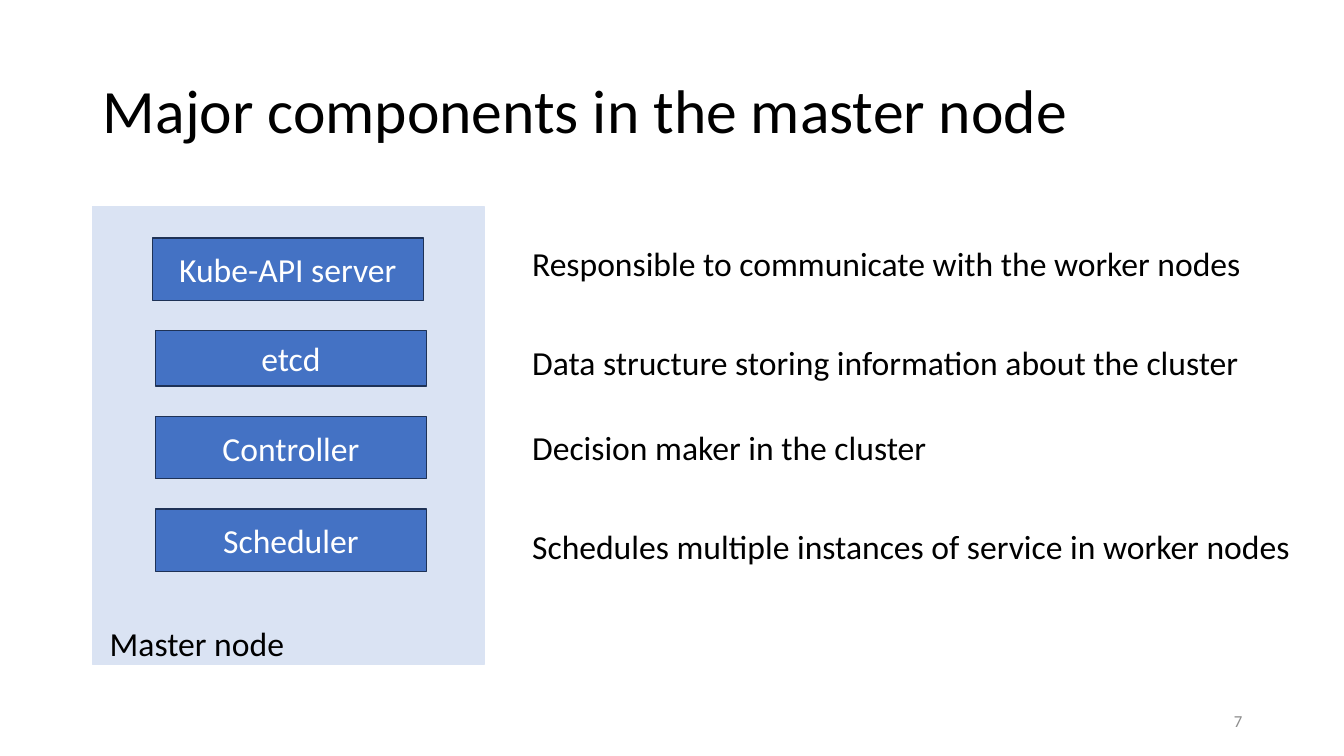
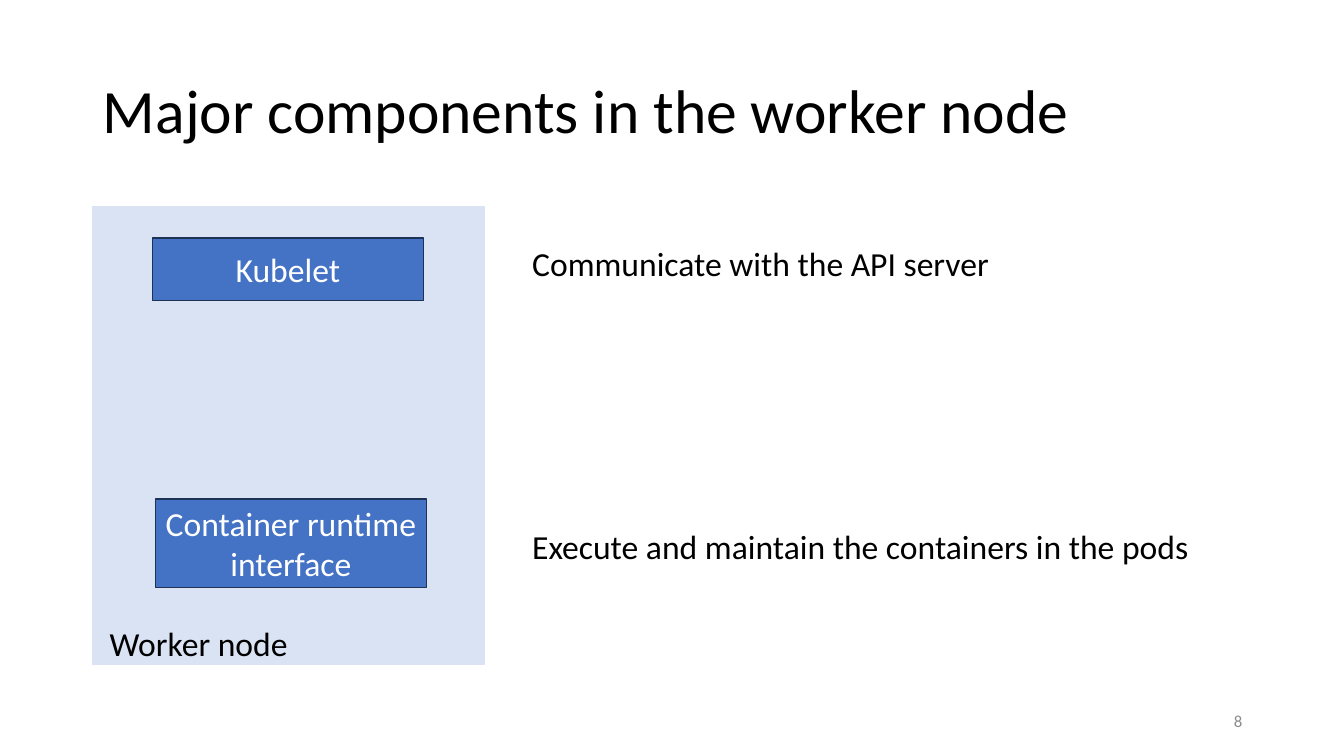
from dataclasses import dataclass

from pptx import Presentation
from pptx.dml.color import RGBColor
from pptx.enum.shapes import MSO_SHAPE
from pptx.enum.text import MSO_ANCHOR, MSO_AUTO_SIZE, PP_ALIGN
from pptx.shapes.autoshape import Shape
from pptx.slide import Slide
from pptx.util import Inches, Pt

RECTANGLE = MSO_SHAPE.RECTANGLE
LEFT, CENTER, RIGHT = PP_ALIGN.LEFT, PP_ALIGN.CENTER, PP_ALIGN.RIGHT
TOP, MIDDLE = MSO_ANCHOR.TOP, MSO_ANCHOR.MIDDLE
NO_AUTOFIT = MSO_AUTO_SIZE.NONE
TITLE_ONLY_LAYOUT = 5


@dataclass(frozen=True)
class Theme:
    font: str = "Calibri"
    text: RGBColor = RGBColor(0x00, 0x00, 0x00)
    inverse_text: RGBColor = RGBColor(0xFF, 0xFF, 0xFF)
    muted_text: RGBColor = RGBColor(0x8C, 0x8C, 0x8C)
    panel: RGBColor = RGBColor(0xDA, 0xE3, 0xF3)
    component: RGBColor = RGBColor(0x44, 0x72, 0xC4)
    component_line: RGBColor = RGBColor(0x1E, 0x32, 0x56)
    title_size: int = 44
    body_size: int = 24
    number_size: int = 12


@dataclass(frozen=True)
class Box:
    left: float
    top: float
    width: float
    height: float

    def lengths(self) -> tuple[Inches, Inches, Inches, Inches]:
        return (Inches(self.left), Inches(self.top),
                Inches(self.width), Inches(self.height))


@dataclass(frozen=True)
class Component:
    name: str
    box: Box
    description: str
    description_top: float


@dataclass(frozen=True)
class NodeSlide:
    number: int
    title: str
    node_name: str
    components: tuple[Component, ...]


THEME = Theme()
TITLE_BOX = Box(0.92, 0.4, 11.5, 1.45)
PANEL_BOX = Box(0.92, 2.05, 3.88, 4.54)
NODE_NAME_BOX = Box(0.99, 6.13, 2.43, 0.5)
NUMBER_BOX = Box(9.42, 6.95, 3, 0.4)
DESCRIPTION_LEFT, DESCRIPTION_WIDTH, DESCRIPTION_HEIGHT = 5.18, 7.87, 0.5


def component_box(top: float, height: float = 0.62, left: float = 1.54) -> Box:
    return Box(left, top, 2.69, height)


FIRST_BOX = component_box(2.36, left=1.51)

NODE_SLIDES = (
    NodeSlide(7, "Major components in the master node", "Master node", (
        Component("Kube-API server", FIRST_BOX,
                  "Responsible to communicate with the worker nodes", 2.36),
        Component("etcd", component_box(3.28, 0.55),
                  "Data structure storing information about the cluster", 3.34),
        Component("Controller", component_box(4.13),
                  "Decision maker in the cluster", 4.19),
        Component("Scheduler", component_box(5.05),
                  "Schedules multiple instances of service in worker nodes", 5.17),
    )),
    NodeSlide(8, "Major components in the worker node", "Worker node", (
        Component("Kubelet", FIRST_BOX, "Communicate with the API server", 2.36),
        Component("Container runtime interface", component_box(4.95, 0.88),
                  "Execute and maintain the containers in the pods", 5.17),
    )),
)


def write_text(shape: Shape, text: str, size: int = THEME.body_size,
               color: RGBColor = THEME.text, align: PP_ALIGN = LEFT,
               anchor: MSO_ANCHOR = TOP) -> None:
    frame = shape.text_frame
    frame.word_wrap = True
    frame.auto_size = NO_AUTOFIT
    frame.vertical_anchor = anchor
    paragraph = frame.paragraphs[0]
    paragraph.alignment = align
    run = paragraph.add_run()
    run.text = text
    run.font.name = THEME.font
    run.font.size = Pt(size)
    run.font.color.rgb = color


def add_title(slide: Slide, text: str) -> None:
    title = slide.shapes.title
    title.left, title.top, title.width, title.height = TITLE_BOX.lengths()
    write_text(title, text, THEME.title_size, anchor=MIDDLE)
    title.text_frame.paragraphs[0].line_spacing = 0.9


def add_rectangle(slide: Slide, box: Box, fill: RGBColor, line: RGBColor) -> Shape:
    shape = slide.shapes.add_shape(RECTANGLE, *box.lengths())
    shape.shadow.inherit = False
    shape.fill.solid()
    shape.fill.fore_color.rgb = fill
    shape.line.color.rgb = line
    shape.line.width = Pt(1)
    return shape


def add_label(slide: Slide, box: Box, text: str) -> None:
    write_text(slide.shapes.add_textbox(*box.lengths()), text)


def add_slide_number(slide: Slide, number: int) -> None:
    shape = slide.shapes.add_textbox(*NUMBER_BOX.lengths())
    write_text(shape, str(number), THEME.number_size, THEME.muted_text, RIGHT, MIDDLE)


def add_component(slide: Slide, component: Component) -> None:
    """Draw the named block and its description on the right."""
    block = add_rectangle(slide, component.box, THEME.component, THEME.component_line)
    write_text(block, component.name, color=THEME.inverse_text,
               align=CENTER, anchor=MIDDLE)
    description_box = Box(DESCRIPTION_LEFT, component.description_top,
                          DESCRIPTION_WIDTH, DESCRIPTION_HEIGHT)
    add_label(slide, description_box, component.description)


def main() -> None:
    presentation = Presentation()
    presentation.slide_width = Inches(13.33)
    presentation.slide_height = Inches(7.5)
    layout = presentation.slide_layouts[TITLE_ONLY_LAYOUT]
    for node in NODE_SLIDES:
        slide = presentation.slides.add_slide(layout)
        add_title(slide, node.title)
        add_rectangle(slide, PANEL_BOX, THEME.panel, THEME.panel)
        add_label(slide, NODE_NAME_BOX, node.node_name)
        for component in node.components:
            add_component(slide, component)
        add_slide_number(slide, node.number)
    presentation.save("out.pptx")


if __name__ == "__main__":
    main()
